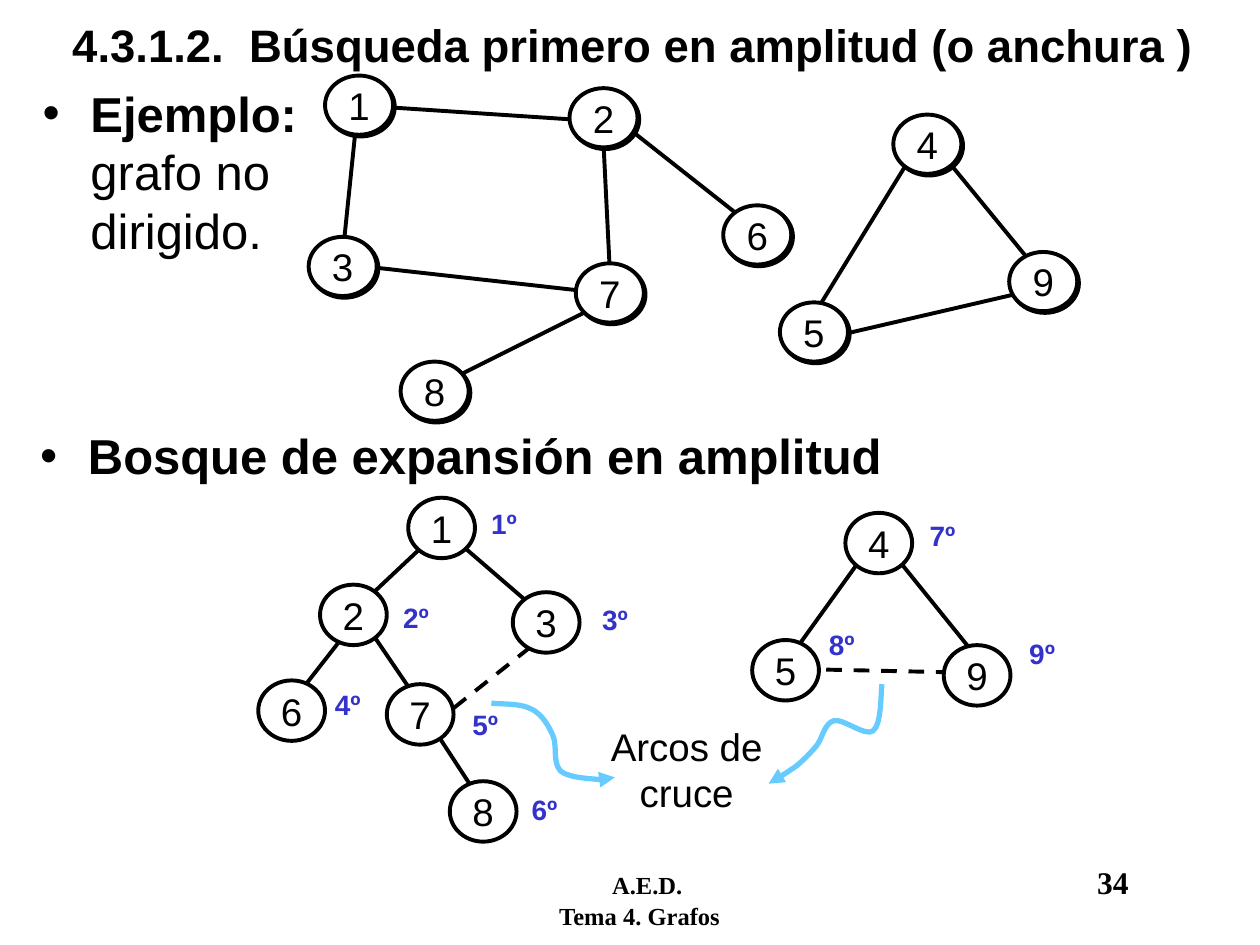
"""Builds the slide on breadth-first search of an undirected graph."""
from lxml.etree import SubElement as Sub
from pptx import Presentation
from pptx.dml.color import RGBColor as RGB
from pptx.enum.dml import MSO_LINE_DASH_STYLE as Dash
from pptx.enum.shapes import MSO_CONNECTOR as Conn, MSO_SHAPE as Shape
from pptx.enum.text import MSO_ANCHOR as Anchor, PP_ALIGN as Align
from pptx.oxml.ns import qn
from pptx.util import Inches, Pt

HUES = {"ink": "000000", "paper": "FFFFFF", "order": "3333CC", "arrow": "66CCFF"}

deck = Presentation()
deck.slide_width, deck.slide_height = Inches(10), Inches(7.5)
slide = deck.slides.add_slide(deck.slide_layouts[6])
shapes = slide.shapes


def add_run(para, text, size, bold=False, hue="ink", face="Arial"):
    run = para.add_run()
    run.text = text
    font = run.font
    font.size, font.bold, font.name = Pt(size), bold, face
    font.color.rgb = RGB.from_string(HUES[hue])


def add_box(left, top, width, height):
    box = shapes.add_textbox(Inches(left), Inches(top), Inches(width), Inches(height))
    box.text_frame.word_wrap = True
    return box.text_frame


foot = add_box(3.62, 6.8, 5.8, 0.5)
rows = [
    ([1.14, 4.99], [("\tA.E.D.", 14), ("\t34", 18)]),
    ([0.72], [("\tTema 4. Grafos", 14)]),
]
for i, (stops, runs) in enumerate(rows):
    para = foot.add_paragraph() if i else foot.paragraphs[0]
    tabs = Sub(para._p.get_or_add_pPr(), qn("a:tabLst"))
    for stop in stops:
        Sub(tabs, qn("a:tab"), pos=str(Inches(stop)), algn="l")
    for text, size in runs:
        add_run(para, text, size, True, face="Times New Roman")

title = add_box(0.36, 0, 9.33, 0.7)
title.vertical_anchor = Anchor.MIDDLE
title.paragraphs[0].alignment = Align.CENTER
add_run(title.paragraphs[0], "4.3.1.2.  Búsqueda primero en amplitud (o anchura )", 26, True)

points = [
    (0.24, 0.61, [("Ejemplo:", True), ("grafo no", False), ("dirigido.", False)]),
    (0.22, 3.33, [("Bosque de expansión en amplitud", True)]),
]
for left, top, lines in points:
    para = add_box(left, top, 7.66, 0.72).paragraphs[0]
    props = para._p.get_or_add_pPr()
    props.set("marL", str(Inches(0.38)))
    props.set("indent", str(Inches(-0.38)))
    Sub(props, qn("a:buFont"), typeface="Arial")
    Sub(props, qn("a:buChar"), char="•")
    for i, (text, bold) in enumerate(lines):
        if i:
            para.add_line_break()
            para._p.findall(qn("a:br"))[-1].get_or_add_rPr().set("sz", "2800")
        add_run(para, text, 28, bold)

graph = {
    "edges": [
        (3.06, 0.85, 4.57, 0.95), (4.79, 1.14, 4.84, 2.15), (4.66, 2.47, 3.62, 2.99),
        (2.82, 1.05, 2.73, 1.92), (2.94, 2.12, 4.64, 2.31), (5.04, 1.06, 5.89, 1.73),
        (7.19, 1.31, 6.49, 2.45), (7.5, 1.25, 8.18, 2.08), (6.66, 2.66, 8.08, 2.33),
    ],
    "cross": [],
    "nodes": {
        1: (2.58, 0.6), 2: (4.52, 0.7), 3: (2.45, 1.88), 7: (4.57, 2.09), 8: (3.18, 2.87),
        6: (5.74, 1.63), 4: (7.09, 0.91), 9: (8.01, 2), 5: (6.19, 2.4),
    },
    "size": (0.54, 0.47),
    "shade": True,
}
forest = {
    "edges": [
        (3.52, 4.18, 2.84, 4.82), (3.87, 6.44, 3.38, 5.69), (3.54, 4.22, 4.34, 4.91),
        (2.21, 5.71, 2.78, 4.98), (2.88, 4.92, 3.37, 5.64), (6.93, 4.3, 6.21, 5.3),
        (7.11, 4.42, 7.78, 5.25),
    ],
    "cross": [(4.38, 5, 3.55, 5.66), (6.34, 5.31, 7.74, 5.34)],
    "nodes": {
        1: (3.24, 3.95), 2: (2.54, 4.64), 3: (4.07, 4.7), 7: (3.07, 5.43), 8: (3.57, 6.2),
        6: (2.05, 5.4), 4: (6.71, 4.07), 9: (7.49, 5.12), 5: (5.97, 5.08),
    },
    "size": (0.53, 0.48),
    "shade": False,
}
for net in (graph, forest):
    for edge in net["edges"] + net["cross"]:
        link = shapes.add_connector(Conn.STRAIGHT, *map(Inches, edge))
        link.line.color.rgb = RGB.from_string(HUES["ink"])
        link.line.width = Pt(2.25)
        if edge in net["cross"]:
            link.line.dash_style = Dash.DASH
        Sub(link._element.spPr, qn("a:effectLst"))
    for name, spot in net["nodes"].items():
        node = shapes.add_shape(Shape.OVAL, *map(Inches, spot + net["size"]))
        node.fill.solid()
        node.fill.fore_color.rgb = RGB.from_string(HUES["paper"])
        node.line.color.rgb = RGB.from_string(HUES["ink"])
        node.line.width = Pt(2.25)
        node.shadow.inherit = False
        if net["shade"]:
            effect = node._element.spPr.find(qn("a:effectLst"))
            shade = Sub(effect, qn("a:outerShdw"), dist=str(Pt(1.4)), dir="2700000", algn="ctr")
            Sub(shade, qn("a:srgbClr"), val=HUES["ink"])
        frame = node.text_frame
        frame.word_wrap = False
        frame.vertical_anchor = Anchor.MIDDLE
        frame.paragraphs[0].alignment = Align.CENTER
        add_run(frame.paragraphs[0], str(name), 22)

note = add_box(4.6, 5.69, 1.7, 0.84).paragraphs[0]
note.alignment = Align.CENTER
add_run(note, "Arcos de cruce", 22)

curves = [
    [(7, 5.43), (6.99, 5.49), (7, 5.75), (6.93, 5.8), (6.87, 5.85), (6.69, 5.7), (6.62, 5.72),
     (6.54, 5.74), (6.53, 5.86), (6.48, 5.92), (6.43, 5.98), (6.38, 6.03), (6.32, 6.08),
     (6.25, 6.13), (6.15, 6.19), (6.1, 6.22)],
    [(3.9, 5.58), (3.95, 5.59), (4.12, 5.58), (4.2, 5.62), (4.28, 5.65), (4.34, 5.73), (4.38, 5.82),
     (4.43, 5.9), (4.38, 6.05), (4.45, 6.12), (4.52, 6.18), (4.72, 6.18), (4.79, 6.19),
     (4.86, 6.2), (4.87, 6.17), (4.88, 6.17)],
]
steps = 8
for knots in curves:
    trail = []
    for k in range(0, len(knots) - 1, 3):
        for t in [n / steps for n in range(1, steps + 1)]:
            mix = ((1 - t) ** 3, 3 * t * (1 - t) ** 2, 3 * t * t * (1 - t), t ** 3)
            trail.append([Inches(sum(m * p[a] for m, p in zip(mix, knots[k:k + 4]))) for a in (0, 1)])
    pen = shapes.build_freeform(*map(Inches, knots[0]))
    pen.add_line_segments(trail, close=False)
    curve = pen.convert_to_shape()
    curve.fill.background()
    curve.line.color.rgb = RGB.from_string(HUES["arrow"])
    curve.line.width = Pt(3)
    curve.shadow.inherit = False
    Sub(curve.line._get_or_add_ln(), qn("a:tailEnd"), type="triangle")

orders = [
    (3.8, 3.97), (3.1, 4.72), (4.68, 4.73), (2.56, 5.41), (3.65, 5.57),
    (4.12, 6.24), (7.28, 4.07), (6.48, 4.93), (8.07, 5),
]
for rank, (left, top) in enumerate(orders, 1):
    add_run(add_box(left, top, 0.81, 0.37).paragraphs[0], f"{rank}º", 16, True, "order")

deck.save("out.pptx")
